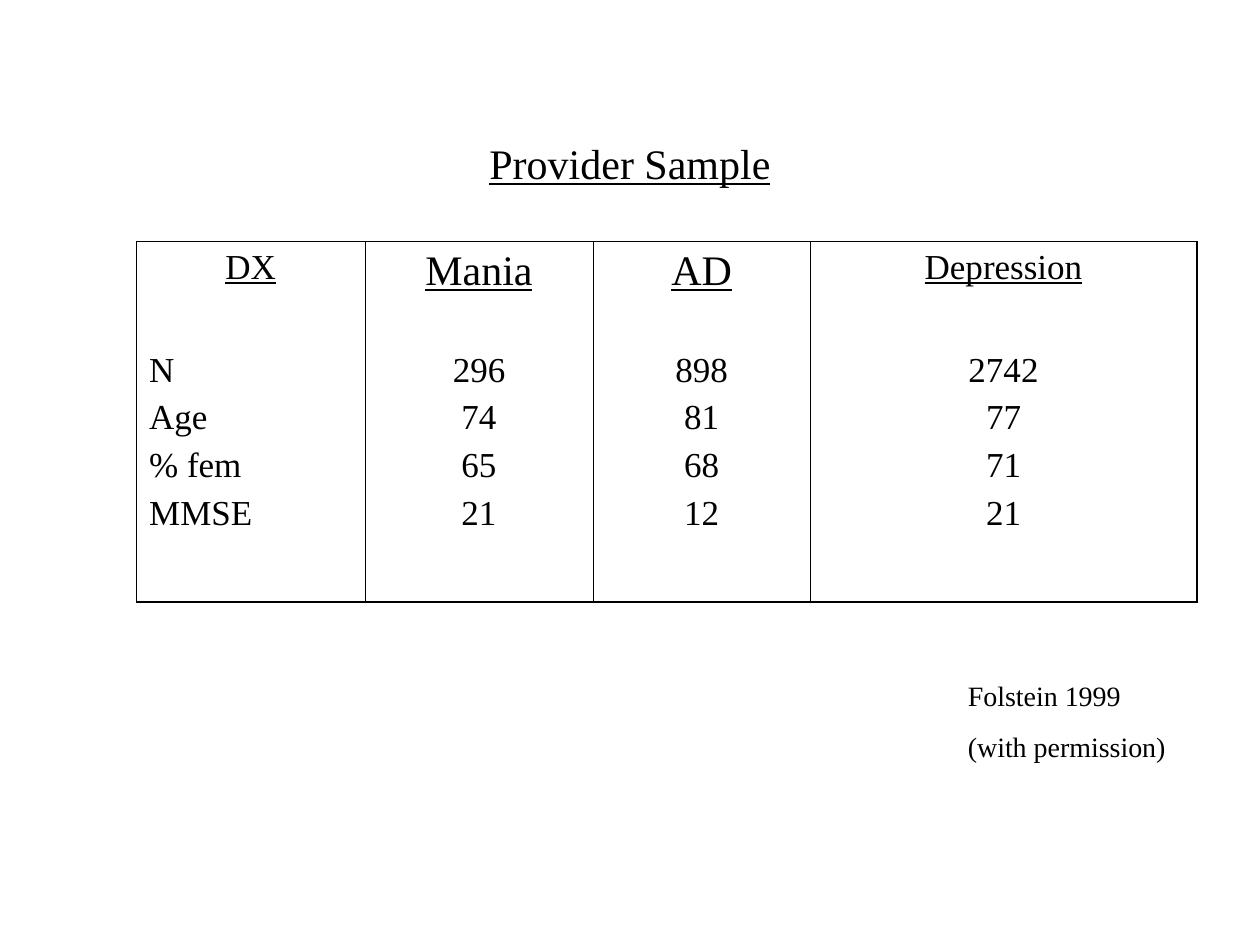
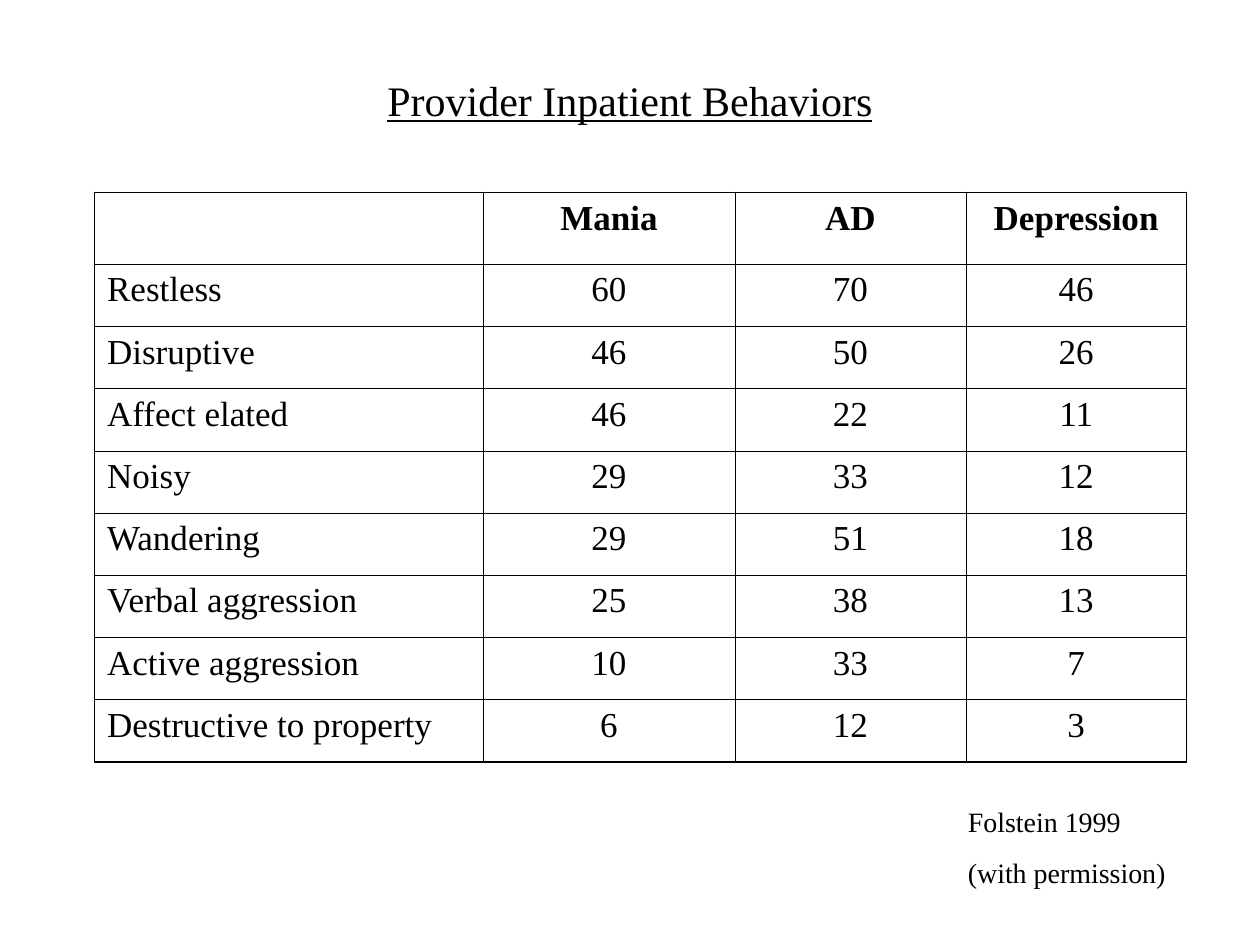
from lxml.etree import SubElement
from pptx import Presentation
from pptx.dml.color import RGBColor
from pptx.enum.text import MSO_ANCHOR as Anchor, MSO_AUTO_SIZE as AutoSize, PP_ALIGN as Align
from pptx.oxml.ns import qn
from pptx.util import Pt

BLACK = RGBColor(0x00, 0x00, 0x00)
FONT = "Times New Roman"
TITLE_SIZE, TABLE_SIZE, NOTE_SIZE = 24, 20, 16
INNER, OUTER, NO_RULE = 0.45, 1.08, 0

CITATION = ["Folstein 1999", "(with permission)"]

SAMPLE = {
    "title": "Provider Sample",
    "title_box": (54, 48, 612, 90),
    "table_at": (78, 138),
    "columns": [130.5, 130.5, 124, 221],
    "row_heights": [59, 147],
    "header": ["DX", "Mania", "AD", "Depression"],
    "header_sizes": [20, 24, 24, 20],
    "header_style": {"underline": True},
    "rows": [[
        ["N", "Age", "% fem", "MMSE"],
        ["296", "74", "65", "21"],
        ["898", "81", "68", "12"],
        ["2742", "77", "71", "21"],
    ]],
    "row_rule": NO_RULE,
    "top_rule": INNER,
    "citation_top": 384,
}

BEHAVIORS = {
    "title": "Provider Inpatient Behaviors",
    "title_box": (54, 18, 612, 78),
    "table_at": (54, 110),
    "columns": [222, 144, 132, 126],
    "row_heights": [41] + [35.55] * 8,
    "header": ["", "Mania", "AD", "Depression"],
    "header_sizes": [TABLE_SIZE] * 4,
    "header_style": {"bold": True},
    "rows": [
        ["Restless", "60", "70", "46"],
        ["Disruptive", "46", "50", "26"],
        ["Affect elated", "46", "22", "11"],
        ["Noisy", "29", "33", "12"],
        ["Wandering", "29", "51", "18"],
        ["Verbal aggression", "25", "38", "13"],
        ["Active aggression", "10", "33", "7"],
        ["Destructive to property", "6", "12", "3"],
    ],
    "row_rule": INNER,
    "top_rule": OUTER,
    "citation_top": 456,
}


def write(frame, lines, size, align=Align.LEFT, gap=0, bold=False, underline=False):
    frame.text = "\n".join(lines)
    for index, paragraph in enumerate(frame.paragraphs):
        paragraph.alignment = align
        if index:
            paragraph.space_before = Pt(gap)
        font = paragraph.font
        font.name, font.size = FONT, Pt(size)
        font.bold, font.underline = bold, underline
        font.color.rgb = BLACK


def rule_cell(cell, widths):
    properties = cell._tc.get_or_add_tcPr()
    for side, width in widths.items():
        line = SubElement(properties, qn(f"a:ln{side}"), w=str(Pt(width)))
        if width:
            fill = SubElement(line, qn("a:solidFill"))
            SubElement(fill, qn("a:srgbClr"), val=str(BLACK))
        else:
            SubElement(line, qn("a:noFill"))
    cell.fill.background()


def add_title(slide, content):
    title = slide.shapes.title
    title.left, title.top, title.width, title.height = map(Pt, content["title_box"])
    title.text_frame.vertical_anchor = Anchor.MIDDLE
    write(title.text_frame, [content["title"]], TITLE_SIZE, Align.CENTER, underline=True)


def add_results(slide, content):
    columns, heights = content["columns"], content["row_heights"]
    left, top = content["table_at"]
    table = slide.shapes.add_table(
        len(heights), len(columns), Pt(left), Pt(top), Pt(sum(columns)), Pt(sum(heights))
    ).table
    table.first_row = table.horz_banding = False
    for column, width in zip(table.columns, columns):
        column.width = Pt(width)
    for row, height in zip(table.rows, heights):
        row.height = Pt(height)

    last_row, last_column = len(heights) - 1, len(columns) - 1
    for r, values in enumerate([content["header"]] + content["rows"]):
        for c, value in enumerate(values):
            cell = table.cell(r, c)
            lines = [value] if isinstance(value, str) else value
            size = TABLE_SIZE if r else content["header_sizes"][c]
            style = {} if r else content["header_style"]
            align = Align.LEFT if r and c == 0 else Align.CENTER
            write(cell.text_frame, lines, size, align, gap=5, **style)
            rule_cell(cell, {
                "L": INNER if c else OUTER,
                "R": OUTER if c == last_column else INNER,
                "T": content["row_rule"] if r else content["top_rule"],
                "B": OUTER if r == last_row else content["row_rule"],
            })


def add_citation(slide, top):
    citation = slide.shapes.add_textbox(Pt(546), Pt(top), Pt(174), Pt(55.5)).text_frame
    citation.word_wrap = True
    citation.auto_size = AutoSize.SHAPE_TO_FIT_TEXT
    write(citation, CITATION, NOTE_SIZE, gap=10)


def main():
    deck = Presentation()
    deck.slide_width, deck.slide_height = Pt(720), Pt(540)
    title_only = deck.slide_layouts[5]
    for content in (SAMPLE, BEHAVIORS):
        slide = deck.slides.add_slide(title_only)
        add_title(slide, content)
        add_results(slide, content)
        add_citation(slide, content["citation_top"])
    deck.save("out.pptx")


if __name__ == "__main__":
    main()
